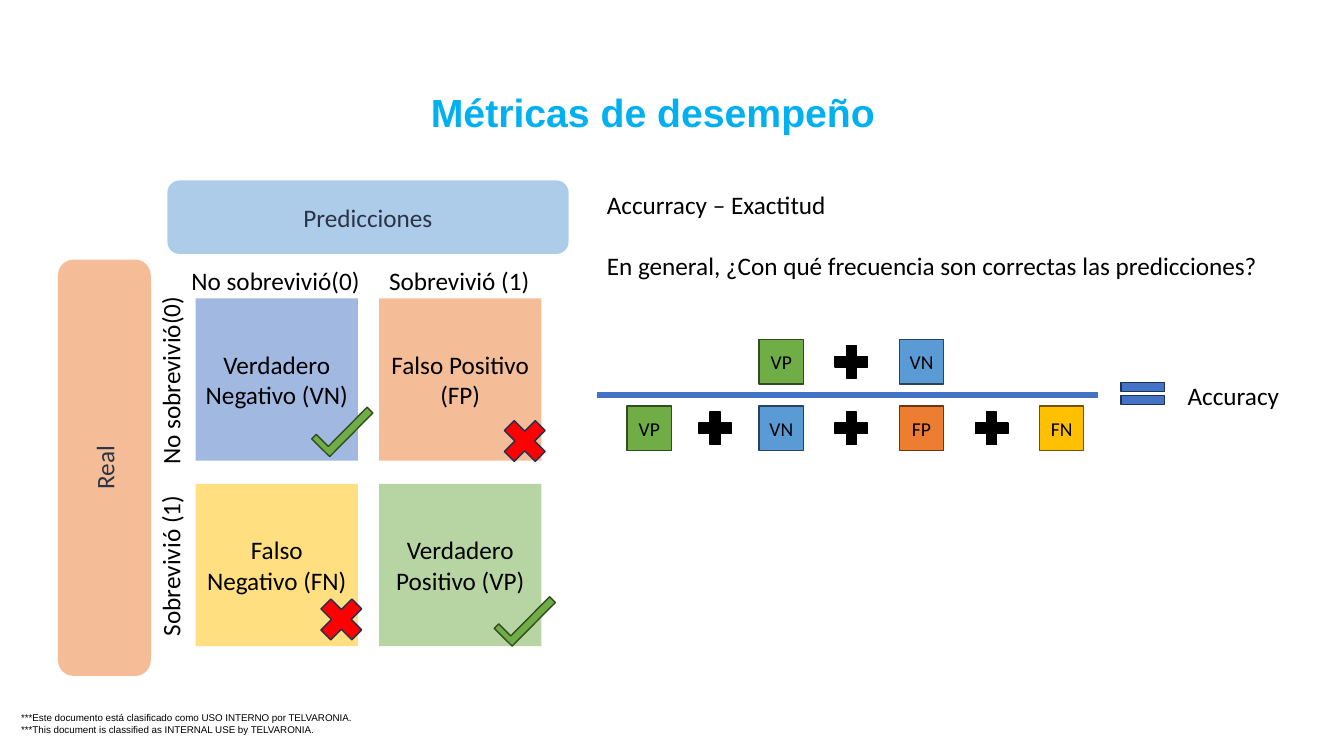
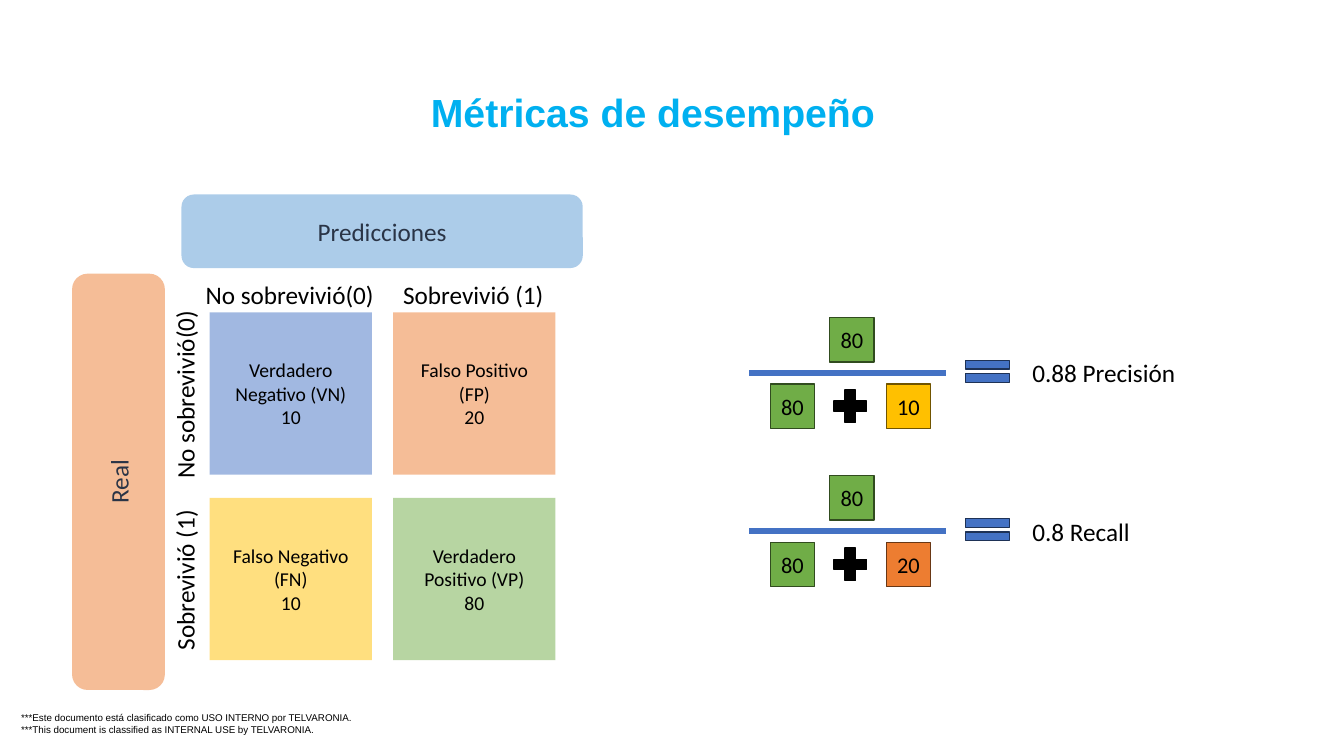
from lxml import etree
from pptx import Presentation
from pptx.dml.color import RGBColor
from pptx.enum.shapes import MSO_CONNECTOR, MSO_SHAPE as Shape
from pptx.enum.text import MSO_ANCHOR as Anchor, MSO_AUTO_SIZE as AutoSize, PP_ALIGN as Align
from pptx.oxml.ns import qn
from pptx.util import Inches, Pt

COLORS = {
    "black": "000000", "title": "00B0F0", "heading": "2A3446",
    "blue": "4472C4", "sky": "5B9BD5", "green": "70AD47",
    "orange": "ED7D31", "gold": "FFC000", "red": "FF0000",
    "blue_edge": "1E3256", "sky_edge": "28445D", "green_edge": "314C1F",
    "orange_edge": "683715", "gold_edge": "705400",
}

# Content shared by both slides
TITLE = "Métricas de desempeño"
FOOTER = ("***Este documento está clasificado como USO INTERNO por TELVARONIA.\v"
          "***This document is classified as INTERNAL USE by TELVARONIA.")
CLASSES = [("No sobrevivió(0)", 1.89), ("Sobrevivió (1)", 1.61)]
CELLS = [  # row, column, name, colour
    (0, 0, "Verdadero Negativo (VN)", "blue"),
    (1, 1, "Verdadero Positivo (VP)", "green"),
    (1, 0, "Falso Negativo (FN)", "gold"),
    (0, 1, "Falso Positivo (FP)", "orange"),
]

# Content of each slide; a term is (text, colour, left)
SLIDES = [
    {
        "intro": ["Accurracy – Exactitud",
                  "En general, ¿Con qué frecuencia son correctas las predicciones?"],
        "origin": (1.94, 2.96),
        "counts": [],
        "cell_size": 18,
        "term_size": 14,
        "checks": [(3.09, 4.1), (4.9, 5.98)],
        "crosses": [(3.09, 5.85), (4.91, 4.08)],
        "fractions": [{
            "bar": (5.92, 10.89, 3.92), "equal": 11.04,
            "result": ("Accuracy", 1.12),
            "top": [("VP", "green", 7.53), ("VN", "sky", 8.92)],
            "bottom": [("VP", "green", 6.22), ("VN", "sky", 7.53),
                       ("FP", "orange", 8.92), ("FN", "gold", 10.31)],
        }],
    },
    {
        "intro": [],
        "origin": (2.08, 3.1),
        "counts": ["10", "80", "10", "20"],
        "cell_size": 14,
        "term_size": 16,
        "checks": [],
        "crosses": [],
        "fractions": [
            {"bar": (7.43, 9.38, bar_y), "equal": 9.5, "result": result,
             "top": [("80", "green", 8.23)],
             "bottom": [("80", "green", 7.64), (other, color, 8.79)]}
            for bar_y, other, color, result in [
                (5.27, "20", "orange", ("0.8 Recall", 1.18)),
                (3.7, "10", "gold", ("0.88 Precisión", 1.63))]
        ],
    },
]

CELL = 1.61
PITCH_X, PITCH_Y = 1.82, 1.84
TERM = 0.44


def rgb(name):
    return RGBColor.from_string(COLORS[name])


def write(box, lines, size=18, color="black", font="Calibri", bold=False,
          align=Align.LEFT, gap=0):
    frame = box.text_frame
    for index, line in enumerate(lines):
        para = frame.paragraphs[0] if index == 0 else frame.add_paragraph()
        para.text = line
        para.alignment = align
        if index and gap:
            para.space_before = Pt(gap)
        look = {"name": font, "size": Pt(size), "bold": bold}
        for span in para.runs:
            for key, value in look.items():
                setattr(span.font, key, value)
            span.font.color.rgb = rgb(color)


def add_text(page, lines, left, top, width, height, turn=0, wrap=False, **style):
    box = page.shapes.add_textbox(*map(Inches, (left, top, width, height)))
    box.rotation = turn
    box.text_frame.word_wrap = wrap
    if not wrap:
        box.text_frame.auto_size = AutoSize.SHAPE_TO_FIT_TEXT
    write(box, lines, **style)
    return box


def add_block(page, kind, left, top, width, height, fill, edge=None, turn=0,
              lines=(), **style):
    """Preset shape; without an edge it is a half transparent panel."""
    block = page.shapes.add_shape(kind, *map(Inches, (left, top, width, height)))
    block.shadow.inherit = False
    block.rotation = turn
    block.fill.solid()
    block.fill.fore_color.rgb = rgb(fill)
    if edge:
        block.line.color.rgb = rgb(edge)
        block.line.width = Pt(1)
    else:
        block.line.fill.background()
        tint = block._element.spPr.find(qn("a:solidFill"))[0]
        etree.SubElement(tint, qn("a:alpha"), val="50000")
    block.text_frame.vertical_anchor = Anchor.MIDDLE
    block.text_frame.word_wrap = True
    write(block, lines, align=Align.CENTER, **style)
    return block


def add_terms(page, terms, top, size):
    """Row of term squares with a plus midway between neighbours."""
    for text, color, left in terms:
        add_block(page, Shape.RECTANGLE, left, top, TERM, TERM, color,
                  color + "_edge", lines=[text], size=size)
    for first, second in zip(terms, terms[1:]):
        add_block(page, Shape.MATH_PLUS, (first[2] + second[2]) / 2, top,
                  TERM, TERM, "black", "black")


def add_fraction(page, fraction, size):
    start, end, y = fraction["bar"]
    add_terms(page, fraction["top"], y - 0.55, size)
    bar = page.shapes.add_connector(
        MSO_CONNECTOR.STRAIGHT, *map(Inches, (start, y, end, y)))
    bar.line.color.rgb = rgb("blue")
    bar.line.width = Pt(4.5)
    etree.SubElement(bar._element.spPr, qn("a:effectLst"))
    add_terms(page, fraction["bottom"], y + 0.11, size)
    equal = fraction["equal"]
    add_block(page, Shape.MATH_EQUAL, equal, y - 0.2, 0.59, 0.37, "blue", "blue_edge")
    text, width = fraction["result"]
    add_text(page, [text], equal + 0.64, y - 0.2, width, 0.4)


def add_matrix(page, left, top, counts, size):
    for index, (row, column, name, color) in enumerate(CELLS):
        add_block(page, Shape.RECTANGLE, left + column * PITCH_X, top + row * PITCH_Y,
                  CELL, CELL, color, lines=[name] + counts[index:index + 1], size=size)

    # Axis headings
    add_block(page, Shape.ROUNDED_RECTANGLE, left - 0.28, top - 1.17, 3.98, 0.73,
              "sky", lines=["Predicciones"], color="heading")
    add_block(page, Shape.ROUNDED_RECTANGLE, left - 2.97, top + 1.22, 4.13, 0.92,
              "orange", turn=270, lines=["Real"], color="heading")

    # Class labels, centred on their column or row
    for index, (text, width) in enumerate(CLASSES):
        middle_x = left + index * PITCH_X + CELL / 2
        middle_y = top + index * PITCH_Y + CELL / 2
        add_text(page, [text], middle_x - width / 2, top - 0.38, width, 0.4)
        add_text(page, [text], left - 0.25 - width / 2, middle_y - 0.2, width, 0.4,
                 turn=270)


def add_marks(page, checks, crosses):
    for left, top in checks:
        check = add_block(page, Shape.RECTANGLE, left, top, 0.61, 0.25,
                          "green", "green_edge", turn=314.7)
        # The L-shaped preset has no member in the shape enumeration
        outline = check._element.spPr.find(qn("a:prstGeom"))
        outline.set("prst", "corner")
        guides = outline.find(qn("a:avLst"))
        for name, value in (("adj1", 32000), ("adj2", 25200)):
            etree.SubElement(guides, qn("a:gd"), name=name, fmla=f"val {value}")
    for left, top in crosses:
        add_block(page, Shape.MATH_MULTIPLY, left, top, 0.59, 0.59, "red", "blue_edge")


def add_frame(page):
    """Title and footer of every slide."""
    title = add_text(page, [TITLE], 3.3, 0.83, 6.35, 0.56, wrap=True, size=28,
                     color="title", font="Arial", bold=True, align=Align.CENTER)
    title.text_frame.vertical_anchor = Anchor.MIDDLE
    footer = add_text(page, [FOOTER], 0.21, 7.06, 3.34, 0.23, wrap=True, size=7,
                      font="Arial")
    for side in ("left", "top", "right", "bottom"):
        setattr(footer.text_frame, "margin_" + side, 0)


def main():
    deck = Presentation()
    deck.slide_width, deck.slide_height = Inches(13.33), Inches(7.5)
    for content in SLIDES:
        page = deck.slides.add_slide(deck.slide_layouts[6])
        add_frame(page)
        if content["intro"]:
            add_text(page, content["intro"], 5.92, 1.83, 6.79, 1.01, gap=22)
        for fraction in content["fractions"]:
            add_fraction(page, fraction, content["term_size"])
        add_matrix(page, *content["origin"], content["counts"], content["cell_size"])
        add_marks(page, content["checks"], content["crosses"])
    deck.save("out.pptx")


if __name__ == "__main__":
    main()
